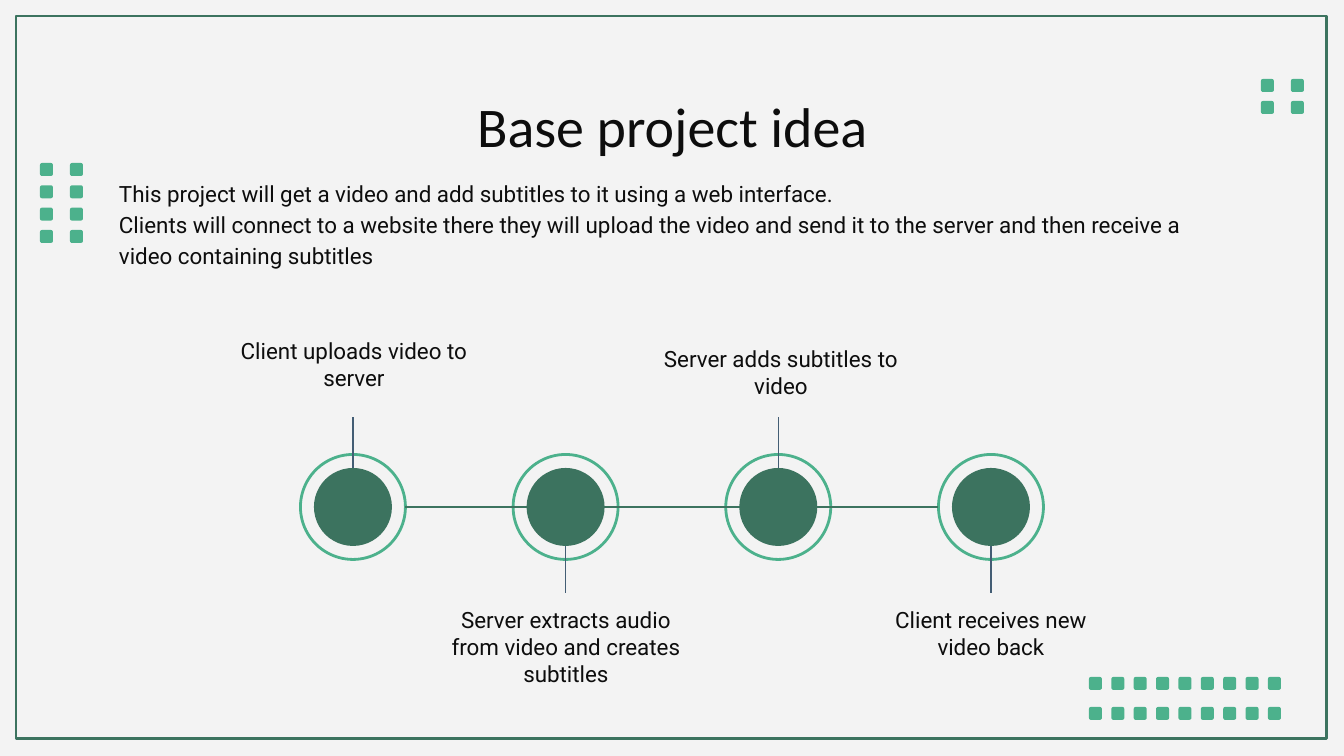
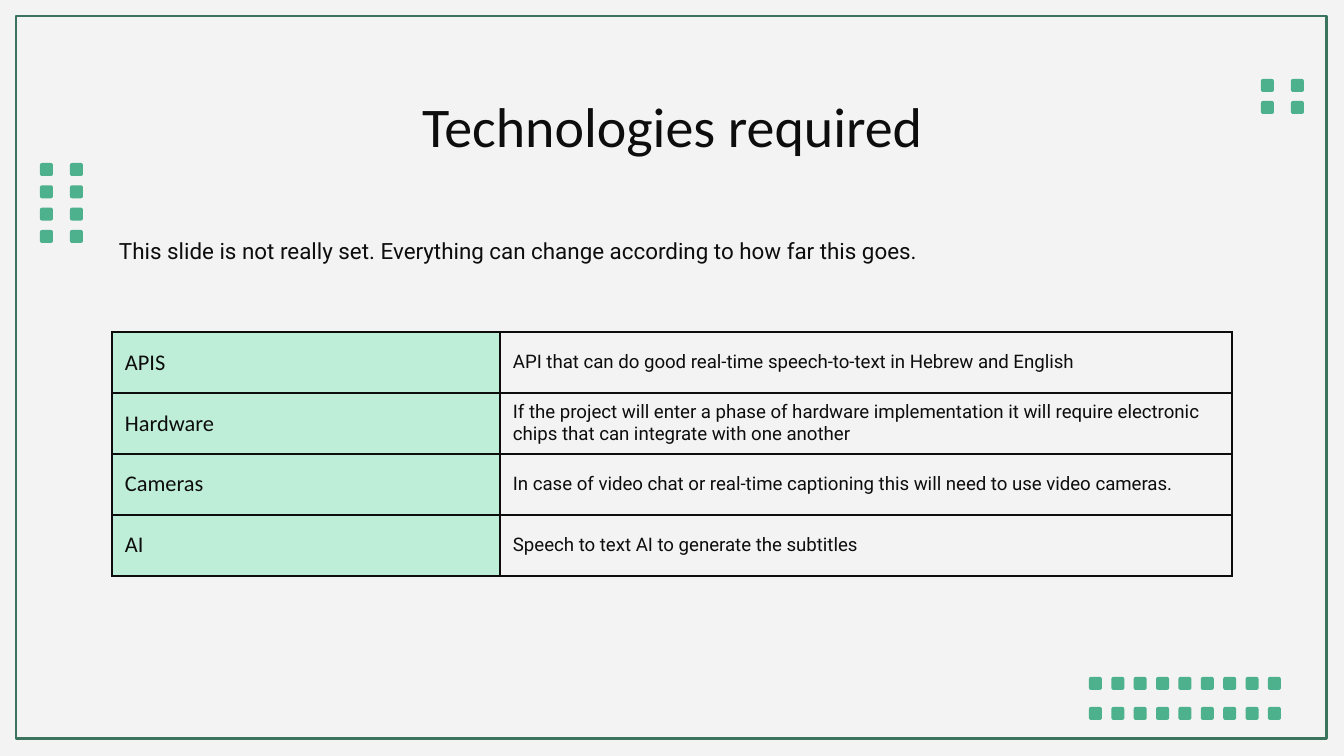
"""Build a two-slide deck: the base project idea and the technologies it requires."""
import dataclasses

import lxml.etree
import pptx
import pptx.dml.color
import pptx.enum.shapes
import pptx.enum.text
import pptx.oxml
import pptx.oxml.ns
import pptx.util

IDEA_TITLE = "Base project idea"
IDEA_LINES = [
    "This project will get a video and add subtitles to it using a web interface.",
    "Clients will connect to a website there they will upload the video and send it "
    "to the server and then receive a video containing subtitles",
]
STEPS = [
    ("Client uploads video to server", "above", (223, 324)),
    ("Server extracts audio from video and creates subtitles", "below", (435, 593)),
    ("Server adds subtitles to video", "above", (650, 332)),
    ("Client receives new video back", "below", (860, 593)),
]
TECH_TITLE = "Technologies required"
TECH_LINES = ["This slide is not really set. Everything can change according to how far this goes."]
TECHNOLOGIES = [
    ("APIS", "API that can do good real-time speech-to-text in Hebrew and English"),
    ("Hardware", "If the project will enter a phase of hardware implementation it will "
                 "require electronic chips that can integrate with one another"),
    ("Cameras", "In case of video chat or real-time captioning this will need to use video cameras."),
    ("AI", "Speech to text AI to generate the subtitles"),
]
DOT_GRIDS = [
    {"columns": 9, "rows": 2, "first": (1089, 677), "last": (1268, 707)},
    {"columns": 2, "rows": 4, "first": (40, 163), "last": (70, 230)},
    {"columns": 2, "rows": 2, "first": (1261, 79), "last": (1291, 101)},
]

SCALE = 914400 / 134.4
PAGE_SIZE = (1344, 756)
FRAME = (16, 16, 1311, 723)
TITLE_BOX = (106, 79, 1133, 85)
IDEA_BOX = (106, 163, 1133, 133)
TECH_BOX = (106, 220, 1133, 54)
LABEL_SIZE = (262, 85)
INSET = 13
DOT = 13
RING, DISC = 105, 78
FIRST_CENTRE, LAST_CENTRE, TIMELINE_Y = 353, 991, 507
TICK_ENDS = {"above": 417, "below": 593}
TABLE_LEFT, TABLE_TOP, ROW_HEIGHT = 112, 332, 61
COLUMN_WIDTHS = (388, 732)

SHAPES = pptx.enum.shapes.MSO_SHAPE
ALIGN = pptx.enum.text.PP_ALIGN


@dataclasses.dataclass(frozen=True)
class Theme:
    """Colours, fonts and point sizes of the deck."""
    ground: str = "F3F3F3"
    ink: str = "0D0D0D"
    deep: str = "3C735F"
    mint: str = "4CB18C"
    pale: str = "BEEDD8"
    slate: str = "435D74"
    heading_font: str = "Calibri"
    body_font: str = "Roboto"
    title_size: int = 30
    body_size: int = 12
    detail_size: int = 10
    line_width: float = 1.5
    tick_width: float = 0.75


THEME = Theme()


def px(length):
    """Turn pixels into EMU."""
    return pptx.util.Emu(round(length * SCALE))


def colour(code):
    """Turn a hex code into a colour."""
    return pptx.dml.color.RGBColor.from_string(code)


def spread(first, last, count):
    """Space positions evenly from first to last."""
    return [first + (last - first) * index / (count - 1) for index in range(count)]


def style_text(frame, font, size):
    """Format every run of a text frame."""
    for para in frame.paragraphs:
        for span in para.runs:
            span.font.name = font
            span.font.size = pptx.util.Pt(size)
            span.font.color.rgb = colour(THEME.ink)


def add_text(page, area, lines, font=THEME.body_font, size=THEME.body_size,
             align=ALIGN.CENTER, spacing=None, right_inset=INSET):
    """Add a wrapped text box."""
    frame = page.shapes.add_textbox(*map(px, area)).text_frame
    frame.word_wrap = True
    frame.margin_left = frame.margin_top = frame.margin_bottom = px(INSET)
    frame.margin_right = px(right_inset)
    frame.text = "\n".join(lines)
    for para in frame.paragraphs:
        para.alignment = align
        para.line_spacing = spacing
    style_text(frame, font, size)


def add_shape(page, kind, area, fill=None, line=None):
    """Add a filled or outlined preset shape."""
    shape = page.shapes.add_shape(kind, *map(px, area))
    shape.shadow.inherit = False
    if fill:
        shape.fill.solid()
        shape.fill.fore_color.rgb = colour(fill)
    else:
        shape.fill.background()
    if line:
        shape.line.color.rgb = colour(line)
        shape.line.width = pptx.util.Pt(THEME.line_width)
    else:
        shape.line.fill.background()
    return shape


def add_circle(page, centre, diameter, **paint):
    """Add a circle around a centre on the timeline."""
    area = (centre - diameter / 2, TIMELINE_Y - diameter / 2, diameter, diameter)
    add_shape(page, SHAPES.OVAL, area, **paint)


def add_line(page, start, end, code, width):
    """Add a straight line without shadow."""
    line = page.shapes.add_connector(
        pptx.enum.shapes.MSO_CONNECTOR.STRAIGHT, *map(px, start + end))
    line.line.color.rgb = colour(code)
    line.line.width = pptx.util.Pt(width)
    lxml.etree.SubElement(line._element.spPr, pptx.oxml.ns.qn("a:effectLst"))


def add_page(deck, title, lines, lines_box):
    """Add a slide with background, frame, dots, title and introduction."""
    page = deck.slides.add_slide(deck.slide_layouts[6])
    page.background.fill.solid()
    page.background.fill.fore_color.rgb = colour(THEME.ground)
    add_shape(page, SHAPES.RECTANGLE, FRAME, line=THEME.deep)
    for grid in DOT_GRIDS:
        (left, top), (right, bottom) = grid["first"], grid["last"]
        for x in spread(left, right, grid["columns"]):
            for y in spread(top, bottom, grid["rows"]):
                add_shape(page, SHAPES.ROUNDED_RECTANGLE, (x, y, DOT, DOT), fill=THEME.mint)
    add_text(page, TITLE_BOX, [title], THEME.heading_font, THEME.title_size)
    add_text(page, lines_box, lines, align=ALIGN.LEFT, spacing=1.15, right_inset=0)
    return page


def add_timeline(page):
    """Add the circles, ticks, axis and labels of the steps."""
    centres = spread(FIRST_CENTRE, LAST_CENTRE, len(STEPS))
    for centre, (label, side, corner) in zip(centres, STEPS):
        add_circle(page, centre, RING, line=THEME.mint)
        add_circle(page, centre, DISC, fill=THEME.deep)
        edge = TIMELINE_Y + (DISC / 2 if side == "below" else -DISC / 2)
        add_line(page, (centre, edge), (centre, TICK_ENDS[side]), THEME.slate, THEME.tick_width)
        add_text(page, corner + LABEL_SIZE, [label])
    add_line(page, (FIRST_CENTRE + RING / 2, TIMELINE_Y),
             (LAST_CENTRE - RING / 2, TIMELINE_Y), THEME.deep, THEME.line_width)


def add_borders(cell):
    """Draw all four borders of a cell."""
    width = pptx.util.Pt(THEME.line_width)
    for side in ("lnL", "lnR", "lnT", "lnB"):
        cell._tc.get_or_add_tcPr().append(pptx.oxml.parse_xml(
            f'<a:{side} {pptx.oxml.ns.nsdecls("a")} w="{width}"><a:solidFill>'
            f'<a:srgbClr val="{THEME.ink}"/></a:solidFill></a:{side}>'))


def add_technologies(page):
    """Add the table of technologies."""
    area = (TABLE_LEFT, TABLE_TOP, sum(COLUMN_WIDTHS), ROW_HEIGHT * len(TECHNOLOGIES))
    table = page.shapes.add_table(len(TECHNOLOGIES), len(COLUMN_WIDTHS), *map(px, area)).table
    table.first_row = table.horz_banding = False
    for column, width in zip(table.columns, COLUMN_WIDTHS):
        column.width = px(width)
    for row, texts in zip(table.rows, TECHNOLOGIES):
        row.height = px(ROW_HEIGHT)
        for cell, text in zip(row.cells, texts):
            cell.text_frame.text = text
            cell.vertical_anchor = pptx.enum.text.MSO_ANCHOR.MIDDLE
            cell.margin_left = cell.margin_right = px(INSET)
            cell.margin_top = cell.margin_bottom = 0
            add_borders(cell)
        name, detail = row.cells
        name.fill.solid()
        name.fill.fore_color.rgb = colour(THEME.pale)
        style_text(name.text_frame, THEME.heading_font, THEME.body_size)
        detail.fill.background()
        detail.text_frame.paragraphs[0].space_after = pptx.util.Pt(16)
        style_text(detail.text_frame, THEME.body_font, THEME.detail_size)


def main():
    """Build and save the deck."""
    deck = pptx.Presentation()
    deck.slide_width, deck.slide_height = map(px, PAGE_SIZE)
    add_timeline(add_page(deck, IDEA_TITLE, IDEA_LINES, IDEA_BOX))
    add_technologies(add_page(deck, TECH_TITLE, TECH_LINES, TECH_BOX))
    deck.save("out.pptx")


if __name__ == "__main__":
    main()
